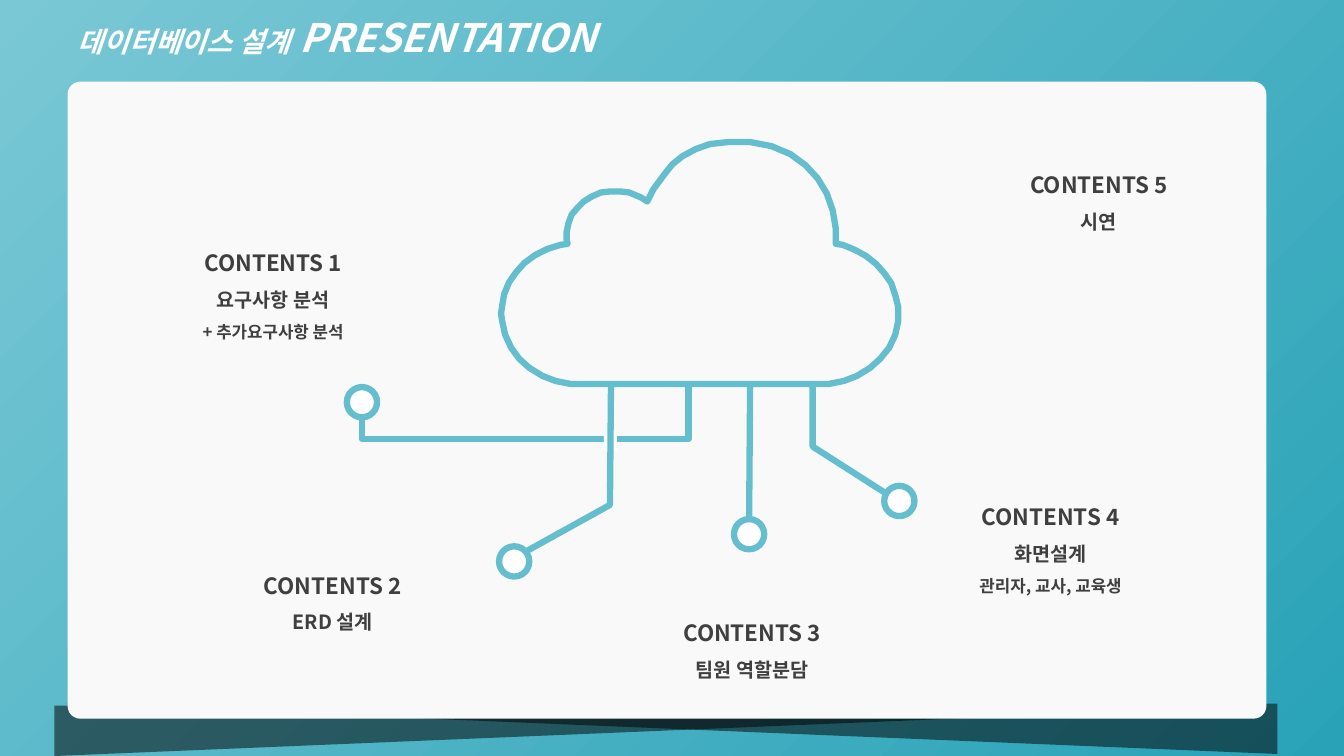
import pptx
import pptx.dml.color
import pptx.enum.dml
import pptx.enum.shapes
import pptx.enum.text
import pptx.oxml.ns
import pptx.util
from lxml import etree

Inches = pptx.util.Inches
Pt = pptx.util.Pt
SHAPES = pptx.enum.shapes.MSO_SHAPE
CONNECTORS = pptx.enum.shapes.MSO_CONNECTOR
TEXT = pptx.enum.text
qn = pptx.oxml.ns.qn

FONT = "Noto Sans CJK KR"
COLORS = {
    "sky": "7AC8D5", "sea": "29A2B7", "shade": "000000", "panel": "F9F9F9",
    "white": "FFFFFF", "ink": "3F3F3F", "line": "64BECD",
}
RGB = {name: pptx.dml.color.RGBColor.from_string(value) for name, value in COLORS.items()}


def style(shape, fill=None, outlined=False):
    """Give a shape or connector its fill and line, and no shadow."""
    if hasattr(shape, "fill"):
        shape.shadow.inherit = False
        if fill:
            shape.fill.solid()
            shape.fill.fore_color.rgb = RGB[fill]
        else:
            shape.fill.background()
    if outlined:
        shape.line.color.rgb = RGB["line"]
        shape.line.width = Pt(4.5)
    else:
        shape.line.fill.background()
    if not hasattr(shape, "fill"):
        etree.SubElement(shape._element.spPr, qn("a:effectLst"))


def add_span(para, text, color, **formats):
    span = para.add_run()
    span.text = text
    span.font.color.rgb = RGB[color]
    for name, value in {"name": FONT, "bold": True, **formats}.items():
        setattr(span.font, name, value)
    latin = span.font._element.find(qn("a:latin"))
    east_asian = etree.Element(qn("a:ea"), typeface=FONT)
    latin.addnext(east_asian)


deck = pptx.Presentation()
deck.slide_width, deck.slide_height = Inches(13.33), Inches(7.5)
page = deck.slides.add_slide(deck.slide_layouts[5])

# Background
backdrop = page.background.fill
backdrop.gradient()
backdrop.gradient_angle = 315
for stop, name, position in zip(backdrop.gradient_stops, ("sky", "sea"), (0, 1)):
    stop.color.rgb = RGB[name]
    stop.position = position

# Panel with its two wedge shadows
for left, top, flipped in ((0.65, 6.98, False), (0.54, 7, True)):
    wedge = page.shapes.add_shape(
        SHAPES.RIGHT_TRIANGLE, Inches(left), Inches(top), Inches(12.02), Inches(0.5))
    wedge.rotation = 180
    style(wedge, "shade")
    if flipped:
        wedge._element.spPr.find(qn("a:xfrm")).set("flipH", "1")
    shade = wedge._element.spPr.find(qn("a:solidFill"))[0]
    etree.SubElement(shade, qn("a:alpha"), val="51000")

panel = page.shapes.add_shape(
    SHAPES.ROUNDED_RECTANGLE, Inches(0.67), Inches(0.81), Inches(11.89), Inches(6.32))
panel.adjustments[0] = 0.02
style(panel, "panel")

# Title
title = page.shapes.title
title.left, title.top, title.width, title.height = map(Inches, (0.67, 0.08, 7.52, 0.57))
title_format = {"word_wrap": True, "auto_size": TEXT.MSO_AUTO_SIZE.NONE,
                "vertical_anchor": TEXT.MSO_ANCHOR.MIDDLE}
for name, value in title_format.items():
    setattr(title.text_frame, name, value)
para = title.text_frame.paragraphs[0]
para.alignment = TEXT.PP_ALIGN.LEFT
add_span(para, "데이터베이스 설계", "white", size=Pt(20), italic=True)
add_span(para, " PRESENTATION", "white", size=Pt(28), italic=True)

# Cloud outline
cloud_points = [
    (8.91, 3.11), (8.91, 3.18), (8.88, 3.32), (8.82, 3.45), (8.73, 3.56), (8.63, 3.65),
    (8.5, 3.73), (8.37, 3.78), (8.22, 3.81), (8.13, 3.81), (5.66, 3.81), (5.51, 3.78),
    (5.38, 3.73), (5.25, 3.65), (5.15, 3.56), (5.07, 3.45), (5.01, 3.32), (4.98, 3.18),
    (4.97, 3.11), (4.98, 3.04), (5, 2.92), (5.05, 2.8), (5.12, 2.7), (5.2, 2.61),
    (5.31, 2.53), (5.43, 2.47), (5.56, 2.43), (5.63, 2.42), (5.62, 2.38), (5.62, 2.3),
    (5.64, 2.21), (5.67, 2.13), (5.73, 2.06), (5.79, 2), (5.87, 1.95), (5.96, 1.91),
    (6.05, 1.9), (6.15, 1.9), (6.24, 1.91), (6.36, 1.96), (6.42, 2), (6.48, 1.88),
    (6.59, 1.73), (6.67, 1.63), (6.77, 1.55), (6.9, 1.48), (7.04, 1.43), (7.22, 1.41),
    (7.44, 1.41), (7.65, 1.45), (7.84, 1.53), (7.99, 1.64), (8.11, 1.77), (8.2, 1.92),
    (8.26, 2.09), (8.29, 2.27), (8.29, 2.42), (8.36, 2.43), (8.48, 2.48), (8.59, 2.54),
    (8.69, 2.62), (8.77, 2.71), (8.84, 2.81), (8.88, 2.93), (8.91, 3.05),
]
branch_4 = [(8.06, 3.84), (8.06, 4.43), (8.78, 4.89)]
branch_2 = [(6.06, 3.81), (6.05, 5.01), (5.22, 5.47)]

# Branch 1 runs behind branch 2, with a small gap at the crossing
branch_1 = page.shapes.add_connector(
    CONNECTORS.ELBOW, Inches(5.02), Inches(2.35), Inches(5.4), Inches(5.59))
style(branch_1, outlined=True)
branch_1._element.spPr.find(qn("a:xfrm")).set("rot", str(270 * 60000))
geometry = branch_1._element.spPr.find(qn("a:prstGeom"))
guides = geometry.find(qn("a:avLst"))
if guides is None:
    guides = etree.SubElement(geometry, qn("a:avLst"))
etree.SubElement(guides, qn("a:gd"), name="adj1", fmla="val -51200")

gap = page.shapes.add_shape(
    SHAPES.RECTANGLE, Inches(5.99), Inches(4.32), Inches(0.13), Inches(0.15))
style(gap, "white")

for points, closed in ((cloud_points, True), (branch_4, False), (branch_2, False)):
    corners = [(Inches(x), Inches(y)) for x, y in points]
    builder = page.shapes.build_freeform(*corners[0])
    builder.add_line_segments(corners[1:], close=closed)
    style(builder.convert_to_shape(), outlined=True)

# Branch ends
ends = {}
for number, left, top in ((1, 3.44, 3.84), (2, 4.95, 5.42), (3, 7.28, 5.15), (4, 8.77, 4.82)):
    ends[number] = page.shapes.add_shape(
        SHAPES.OVAL, Inches(left), Inches(top), Inches(0.3), Inches(0.3))
    style(ends[number], "white", outlined=True)

branch_3 = page.shapes.add_connector(
    CONNECTORS.STRAIGHT, Inches(7.44), Inches(3.81), Inches(7.43), Inches(5.15))
branch_3.end_connect(ends[3], 0)
style(branch_3, outlined=True)

# Contents labels
contents = [
    (1.38, 2.29, ["요구사항 분석", "+ 추가요구사항 분석"]),
    (1.97, 5.49, ["ERD 설계"]),
    (6.13, 5.96, ["팀원 역할분담"]),
    (9.09, 4.81, ["화면설계", "관리자, 교사, 교육생"]),
    (9.57, 1.52, ["시연"]),
]
for number, (left, top, details) in enumerate(contents, 1):
    lines = [f"CONTENTS {number}", *details]
    box = page.shapes.add_textbox(
        Inches(left), Inches(top), Inches(2.66), Inches(0.26 + 0.3 * len(lines)))
    box.text_frame.word_wrap = True
    for index, (text, size) in enumerate(zip(lines, (16, 14, 12))):
        para = box.text_frame.add_paragraph() if index else box.text_frame.paragraphs[0]
        para.alignment = TEXT.PP_ALIGN.CENTER
        para.line_spacing = 1.5
        add_span(para, text, "ink", size=Pt(size))

deck.save("out.pptx")
